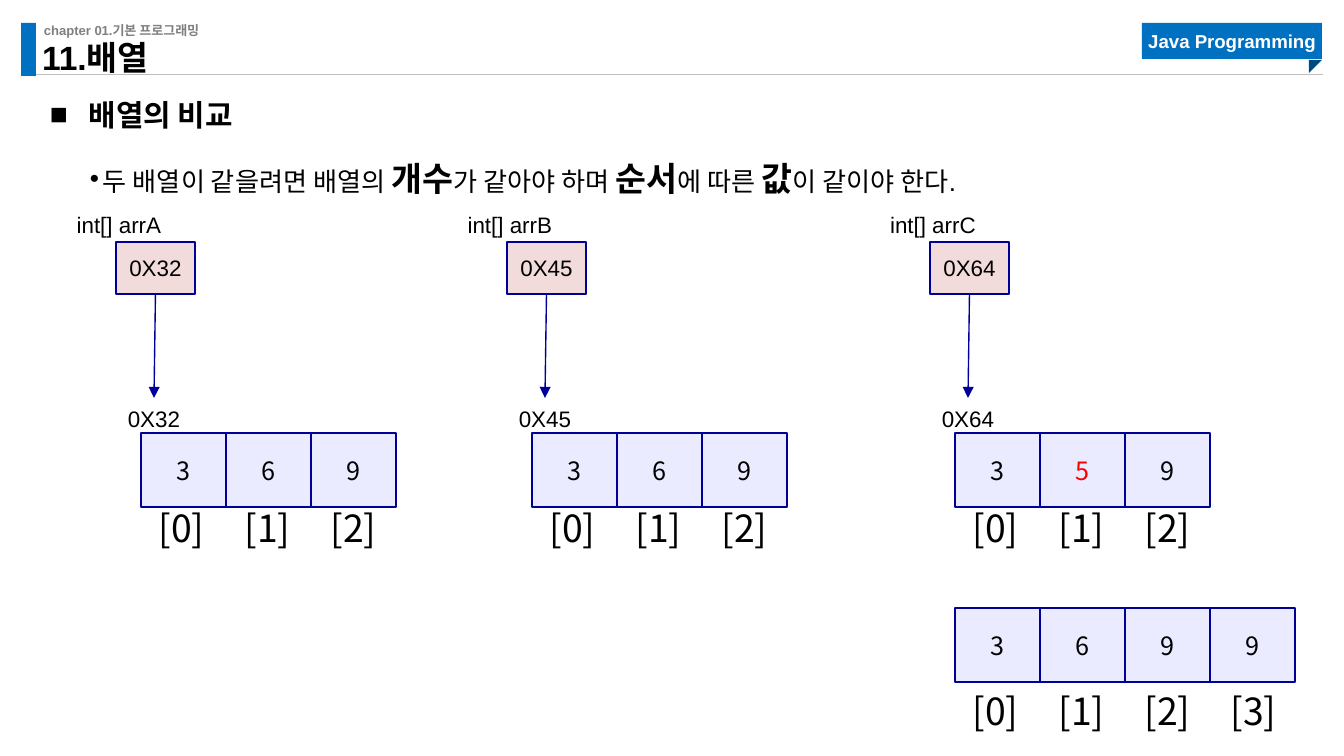
from lxml.etree import SubElement
from pptx import Presentation
from pptx.dml.color import RGBColor
from pptx.enum.shapes import MSO_CONNECTOR as CONNECTOR, MSO_SHAPE as SHAPE
from pptx.enum.text import MSO_ANCHOR as ANCHOR, PP_ALIGN as ALIGN
from pptx.oxml.ns import qn
from pptx.util import Pt

SCALE = 914400 / 134.4  # EMU per px
SANS, KOREAN = "Arial", "Noto Sans CJK KR"
BLACK, NAVY, BLUE, RED = "000000", "000099", "0070C0", "FF0000"
CELL_FILL, REFERENCE_FILL = "EBEBFF", "F2DCDB"

TITLE = "11.배열"
CHAPTER = "chapter 01.기본 프로그래밍"
COURSE = "Java Programming"
HEADING = [("배열의 비교", 16, True)]
RULE = [
    ("두 배열이 같을려면 배열의 ", 14, False), ("개수", 18, True),
    ("가 같아야 하며 ", 14, False), ("순서", 18, True),
    ("에 따른 ", 14, False), ("값", 18, True), ("이 같이야 한다.", 14, False),
]
# left of the cells, variable, address, values, position of a differing value
ARRAYS = [
    (141, "int[] arrA", "0X32", [3, 6, 9], None),
    (532, "int[] arrB", "0X45", [3, 6, 9], None),
    (955, "int[] arrC", "0X64", [3, 5, 9], 1),
]
LONGER_ARRAY = [3, 6, 9, 9]

CELL_WIDTH, CELL_HEIGHT = 85, 74
INDEX_STEP = 86
REFERENCE_OFFSET = -25


def px(value):
    return round(value * SCALE)


def color(value):
    return RGBColor.from_string(value)


def add_run(paragraph, text, size, font=SANS, ink=BLACK, bold=False):
    run = paragraph.add_run()
    run.text = text
    run.font.size = Pt(size)
    run.font.name = font
    run.font.bold = bold
    run.font.color.rgb = color(ink)


def clear_margins(frame):
    frame.margin_left = frame.margin_right = 0
    frame.margin_top = frame.margin_bottom = 0


def add_shape(kind, x, y, width, height, fill, line=None):
    shape = slide.shapes.add_shape(kind, px(x), px(y), px(width), px(height))
    shape.shadow.inherit = False
    shape.fill.solid()
    shape.fill.fore_color.rgb = color(fill)
    if line:
        shape.line.color.rgb = color(line)
        shape.line.width = Pt(0.75)
    else:
        shape.line.fill.background()
    return shape


def add_box(x, y, width, height, fill, text, size, line=None, **style):
    shape = add_shape(SHAPE.RECTANGLE, x, y, width, height, fill, line)
    frame = shape.text_frame
    clear_margins(frame)
    frame.word_wrap = False
    frame.vertical_anchor = ANCHOR.MIDDLE
    frame.paragraphs[0].alignment = ALIGN.CENTER
    add_run(frame.paragraphs[0], text, size, **style)
    return shape


def add_text(x, y, width, height, runs, align=ALIGN.LEFT, wrap=True, **style):
    shape = slide.shapes.add_textbox(px(x), px(y), px(width), px(height))
    frame = shape.text_frame
    frame.word_wrap = wrap
    clear_margins(frame)
    paragraph = frame.paragraphs[0]
    paragraph.alignment = align
    for text, size, bold in runs:
        add_run(paragraph, text, size, bold=bold, **style)
    return paragraph


def add_bullet(paragraph, character, margin, hanging):
    paragraph.line_spacing = 1.5
    properties = paragraph._p.get_or_add_pPr()
    properties.set("marL", str(px(margin)))
    properties.set("indent", str(-px(hanging)))
    SubElement(properties, qn("a:buFont")).set("typeface", SANS)
    SubElement(properties, qn("a:buChar")).set("char", character)


def add_line(x1, y1, x2, y2, ink, width):
    line = slide.shapes.add_connector(CONNECTOR.STRAIGHT, px(x1), px(y1), px(x2), px(y2))
    line.line.color.rgb = color(ink)
    line.line.width = Pt(width)
    SubElement(line._element.spPr, qn("a:effectLst"))
    return line


def add_cells(x, y, index_y, values, different=None):
    """Draw a row of array cells with their indexes below."""
    for i, value in enumerate(values):
        add_box(x + i * CELL_WIDTH, y, CELL_WIDTH, CELL_HEIGHT, CELL_FILL, str(value), 13.5,
                NAVY, font=KOREAN, ink=RED if i == different else BLACK)
    for i in range(len(values)):
        add_text(x + 9 + i * INDEX_STEP, index_y, 63, 45, [(f"[{i}]", 20, False)],
                 ALIGN.CENTER, font=KOREAN)


def add_reference(x, variable, address):
    """Draw a variable, the address it holds and the arrow to that address."""
    box = add_box(x, 242, 79, 52, REFERENCE_FILL, address, 12, NAVY)
    add_text(x - 1, 405, 78, 26, [(address, 12, False)], ALIGN.CENTER, wrap=False)
    arrow = add_line(x + 40, 294, x + 38, 398, NAVY, 0.75)
    arrow.begin_connect(box, 2)
    SubElement(arrow.line._get_or_add_ln(), qn("a:tailEnd")).set("type", "triangle")
    add_text(x - 56, 211, 118, 26, [(variable, 12, False)], ALIGN.CENTER, wrap=False)


presentation = Presentation()
presentation.slide_width, presentation.slide_height = px(1344), px(756)
slide = presentation.slides.add_slide(presentation.slide_layouts[5])

# Header
add_line(21, 75, 1323, 75, "BFBFBF", 0.5)
add_shape(SHAPE.RECTANGLE, 21, 23, 15, 53, BLUE)
add_text(44, 22, 434, 16, [(CHAPTER, 7, True)], ink="808080")
add_box(1142, 23, 180, 36, BLUE, COURSE, 10, ink="FFFFFF", bold=True)
fold = add_shape(SHAPE.RIGHT_TRIANGLE, 1309, 60, 13, 13, "004A82")
fold.rotation = 90

title = slide.shapes.title
title.left, title.top, title.width, title.height = px(42), px(47), px(443), px(31)
clear_margins(title.text_frame)
title.text_frame.vertical_anchor = ANCHOR.BOTTOM
title_paragraph = title.text_frame.paragraphs[0]
title_paragraph.alignment = ALIGN.LEFT
title_paragraph.line_spacing = 0.9
add_run(title_paragraph, TITLE, 18, bold=True)

# Explanation
add_bullet(add_text(50, 79, 1282, 44, HEADING), "■", 39, 39)
rule = add_text(50, 138, 1282, 44, RULE)
rule.level = 1
add_bullet(rule, "•", 53, 13)

# Arrays
for left, variable, address, values, different in ARRAYS:
    add_cells(left, 433, 505, values, different)
    add_reference(left + REFERENCE_OFFSET, variable, address)
add_cells(ARRAYS[-1][0], 608, 688, LONGER_ARRAY)

presentation.save("out.pptx")
